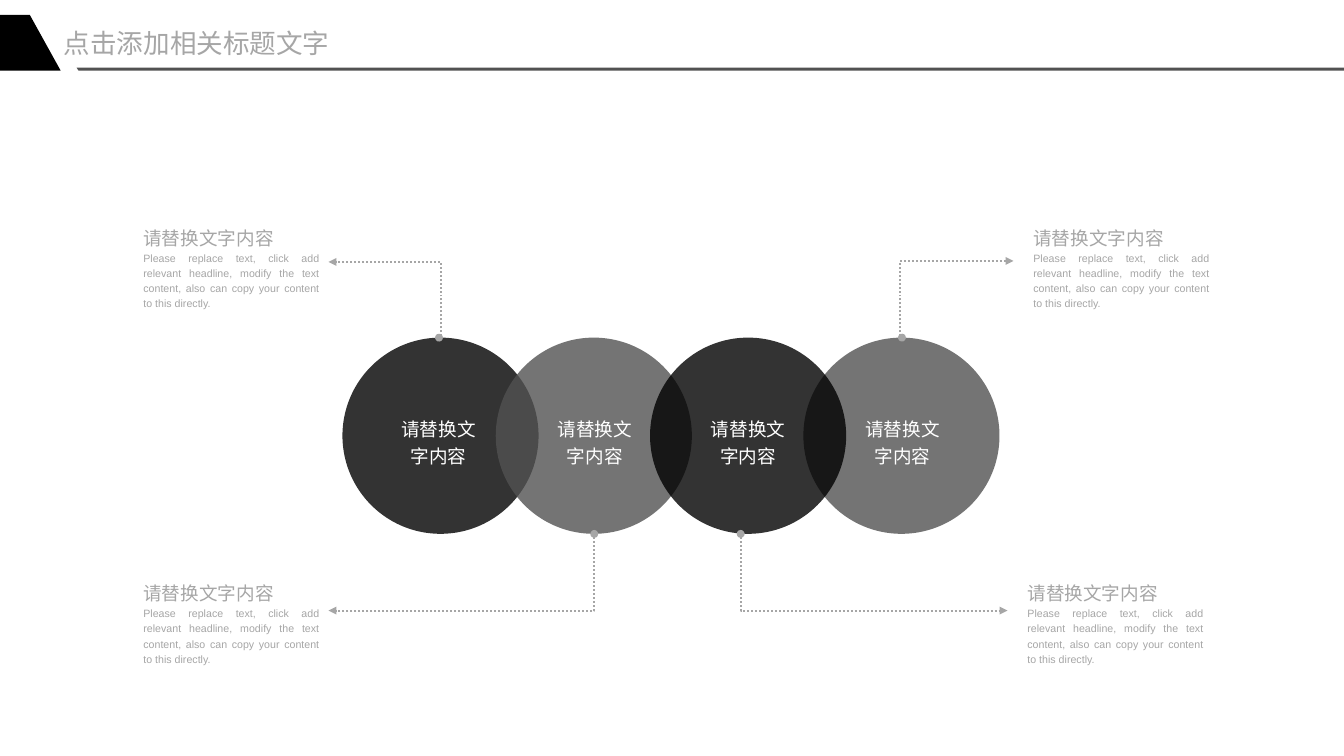
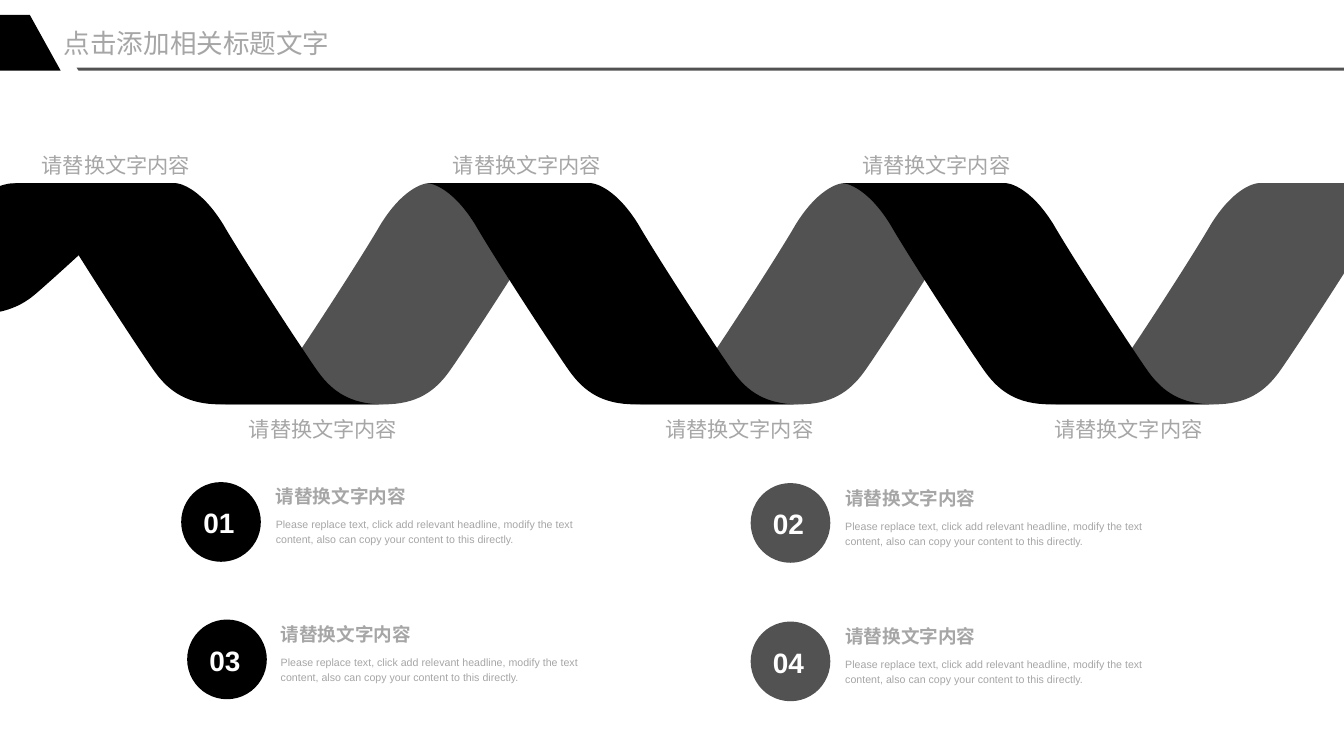
from lxml import etree
from pptx import Presentation
from pptx.dml.color import RGBColor
from pptx.enum.dml import MSO_LINE
from pptx.enum.shapes import MSO_CONNECTOR, MSO_SHAPE
from pptx.enum.text import MSO_ANCHOR, PP_ALIGN
from pptx.oxml.ns import qn
from pptx.util import Pt

PX = 9525
BLACK = RGBColor(0x00, 0x00, 0x00)
DARK_GRAY = RGBColor(0x52, 0x52, 0x52)
LIGHT_GRAY = RGBColor(0xA6, 0xA6, 0xA6)
WHITE = RGBColor(0xFF, 0xFF, 0xFF)
FONT = "Arial"
LEFT, CENTER, JUSTIFY = PP_ALIGN.LEFT, PP_ALIGN.CENTER, PP_ALIGN.JUSTIFY
TOP, MIDDLE = MSO_ANCHOR.TOP, MSO_ANCHOR.MIDDLE
ELBOW = MSO_CONNECTOR.ELBOW
OVAL, ROUNDED = MSO_SHAPE.OVAL, MSO_SHAPE.ROUNDED_RECTANGLE
DOTTED = MSO_LINE.ROUND_DOT

SLIDE_WIDTH, SLIDE_HEIGHT = 1350, 759
TITLE = "点击添加相关标题文字"
HEADING = "请替换文字内容"
BODY = ("Please replace text, click add relevant headline, modify the text "
        "content, also can copy your content to this directly.")


def add_text(slide, text, box, size, color=LIGHT_GRAY, align=LEFT, bold=False,
             spacing=1.2, anchor=TOP, wrap=True):
    shape = slide.shapes.add_textbox(*[value * PX for value in box])
    frame = shape.text_frame
    frame.margin_left = frame.margin_right = 0
    frame.margin_top = frame.margin_bottom = 0
    frame.word_wrap = wrap
    frame.vertical_anchor = anchor
    paragraph = frame.paragraphs[0]
    paragraph.text = text
    paragraph.alignment = align
    paragraph.line_spacing = spacing
    paragraph.font.name = FONT
    paragraph.font.size = Pt(size)
    paragraph.font.bold = bold
    paragraph.font.color.rgb = color


def add_outline(slide, start, segments, color):
    builder = slide.shapes.build_freeform(start[0] * PX, start[1] * PX)
    builder.add_line_segments([(x * PX, y * PX) for x, y in
                               (segment[-1] for segment in segments)])
    shape = builder.convert_to_shape()
    shape.shadow.inherit = False
    shape.fill.solid()
    shape.fill.fore_color.rgb = color
    shape.line.fill.background()
    lines = list(shape._element.iter(qn("a:lnTo")))
    for line, segment in zip(lines, segments):
        controls = segment[:-1]
        if controls:
            line.tag = qn("a:cubicBezTo")
        for index, (x, y) in enumerate(controls):
            point = etree.Element(qn("a:pt"))
            point.set("x", str(round(x * PX) - shape.left))
            point.set("y", str(round(y * PX) - shape.top))
            line.insert(index, point)


presentation = Presentation()
presentation.slide_width = SLIDE_WIDTH * PX
presentation.slide_height = SLIDE_HEIGHT * PX
blank_layout = presentation.slide_layouts[6]
circles_slide = presentation.slides.add_slide(blank_layout)
ribbon_slide = presentation.slides.add_slide(blank_layout)

CIRCLE_TOP, CIRCLE_SIZE = 339, 197
for index in (0, 1, 3, 2):
    left = 344 + 309 * index // 2
    circle = circles_slide.shapes.add_shape(
        OVAL, left * PX, CIRCLE_TOP * PX, CIRCLE_SIZE * PX, CIRCLE_SIZE * PX)
    circle.shadow.inherit = False
    circle.fill.solid()
    circle.fill.fore_color.rgb = (BLACK, DARK_GRAY)[index % 2]
    circle.line.fill.background()
    color_element = circle.fill._xPr.find(qn("a:solidFill"))[0]
    etree.SubElement(color_element, qn("a:alpha")).set("val", "80000")

for left in (397, 554, 708, 863):
    add_text(circles_slide, HEADING, (left, 415, 87, 52), 14, WHITE, CENTER)

CIRCLE_BOTTOM = CIRCLE_TOP + CIRCLE_SIZE
callouts = [
    (144, 223, (441, CIRCLE_TOP), (330, 263), -2000),
    (144, 580, (597, CIRCLE_BOTTOM), (330, 613), 0),
    (1038, 223, (906, CIRCLE_TOP), (1018, 262), -2000),
    (1032, 580, (744, CIRCLE_BOTTOM), (1012, 613), 0),
]
for left, top, start, end, bend in callouts:
    connector = circles_slide.shapes.add_connector(
        ELBOW, *[value * PX for value in start + end])
    connector.line.color.rgb = LIGHT_GRAY
    connector.line.width = Pt(1.5)
    connector.line.dash_style = DOTTED
    properties = connector._element.spPr
    line = properties.find(qn("a:ln"))
    etree.SubElement(line, qn("a:headEnd")).set("type", "oval")
    etree.SubElement(line, qn("a:tailEnd")).set("type", "triangle")
    etree.SubElement(properties, qn("a:effectLst"))
    guides = properties.find(qn("a:prstGeom")).get_or_add_avLst()
    guide = etree.SubElement(guides, qn("a:gd"))
    guide.set("name", "adj1")
    guide.set("fmla", f"val {bend}")
    add_text(circles_slide, HEADING, (left, top, 177, 25), 14, align=JUSTIFY)
    add_text(circles_slide, BODY, (left, top + 27, 177, 60), 8, align=JUSTIFY)

RIBBON_LEFT, RIBBON_TOP, STRAND_PITCH = 13, 184, 208.5
STRAND_WIDTH, STRAND_HEIGHT, SHORT_HEIGHT = 372, 222, 132
strand_start = (0, 0)
strand_segments = [
    [(0, 0), (22, 1), (47, 41)],
    [(69, 79), (132, 175), (143, 190)],
    [(157, 209), (175, 222), (208, 222)],
    [(372, 222), (372, 222), (372, 222)],
    [(339, 222), (321, 209), (307, 190)],
    [(296, 175), (233, 79), (211, 41)],
    [(186, 1), (164, 0), (164, 0)],
    [(0, 0)],
]
strands = [
    (5, True, STRAND_HEIGHT, DARK_GRAY),
    (3, True, STRAND_HEIGHT, DARK_GRAY),
    (4, False, STRAND_HEIGHT, BLACK),
    (1, True, STRAND_HEIGHT, DARK_GRAY),
    (2, False, STRAND_HEIGHT, BLACK),
    (-1, True, SHORT_HEIGHT, BLACK),
    (0, False, STRAND_HEIGHT, BLACK),
]
for position, mirrored, height, color in strands:
    left = RIBBON_LEFT + STRAND_PITCH * position
    placed = [[(left + (STRAND_WIDTH - x if mirrored else x),
                RIBBON_TOP + y * height / STRAND_HEIGHT) for x, y in segment]
              for segment in [[strand_start]] + strand_segments]
    add_outline(ribbon_slide, placed[0][0], placed[1:], color)

for top, lefts in ((148, (41, 454, 865)), (413, (249, 667, 1058))):
    for left in lefts:
        add_text(ribbon_slide, HEADING, (left, top, 151, 29), 16,
                 align=CENTER, wrap=False)

BADGE_SIZE = 80
items = [
    ("01", 182, 484, 277, 482, BLACK),
    ("02", 754, 485, 849, 484, DARK_GRAY),
    ("03", 188, 622, 282, 621, BLACK),
    ("04", 754, 624, 849, 623, DARK_GRAY),
]
for number, badge_left, badge_top, text_left, text_top, color in items:
    add_text(ribbon_slide, HEADING, (text_left, text_top, 304, 25), 14, bold=True)
    add_text(ribbon_slide, BODY, (text_left, text_top + 35, 304, 30), 8)
    badge = ribbon_slide.shapes.add_shape(
        ROUNDED, badge_left * PX, badge_top * PX, BADGE_SIZE * PX, BADGE_SIZE * PX)
    badge.adjustments[0] = 0.5
    badge.shadow.inherit = False
    badge.fill.solid()
    badge.fill.fore_color.rgb = color
    badge.line.fill.background()
    add_text(ribbon_slide, number, (badge_left + 6, badge_top + 11, 64, 53), 21.1,
             WHITE, CENTER, bold=True, anchor=MIDDLE)

rule_points = [(SLIDE_WIDTH, 68), (SLIDE_WIDTH, 71), (79, 71)]
corner_points = [(61, 71), (0, 71), (0, 15)]
for slide in presentation.slides:
    add_outline(slide, (77, 68), [[point] for point in rule_points], DARK_GRAY)
    add_outline(slide, (30, 15), [[point] for point in corner_points], BLACK)
    add_text(slide, TITLE, (64, 27, 322, 32), 20, spacing=1.0)

presentation.save("out.pptx")
